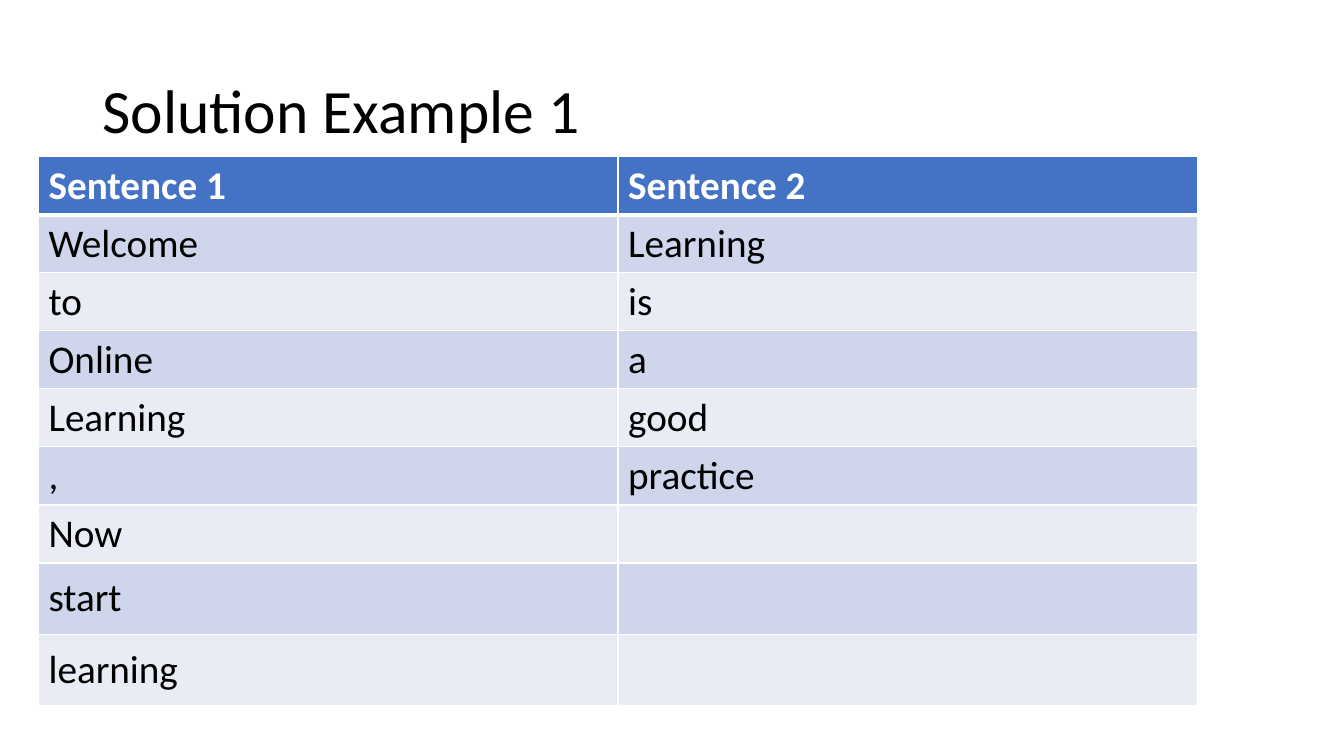
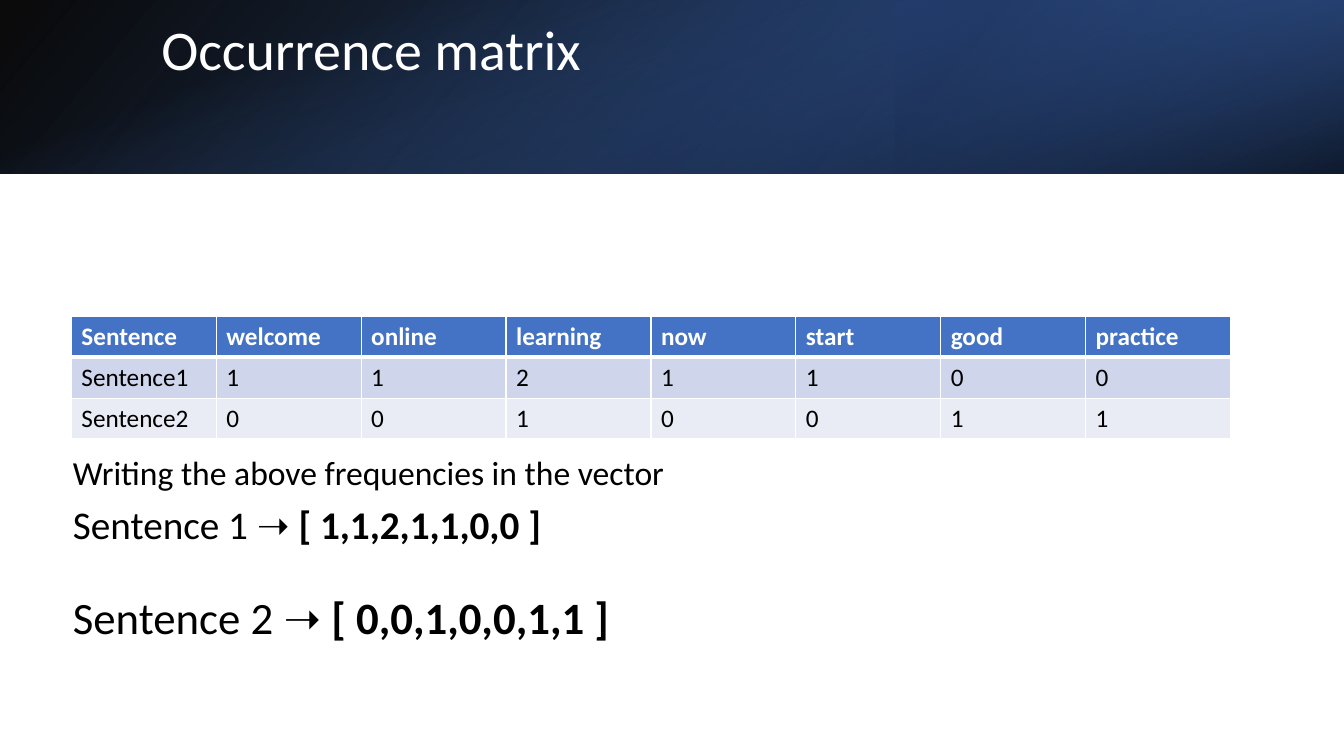
"""Build two slides on word counts: a token table and an occurrence matrix."""
from dataclasses import dataclass
from itertools import zip_longest

from lxml.etree import SubElement as Sub
from pptx import Presentation
from pptx.dml.color import RGBColor as RGB
from pptx.enum.shapes import MSO_SHAPE as Shape
from pptx.enum.text import MSO_ANCHOR as Anchor, MSO_AUTO_SIZE as Auto, PP_ALIGN as Align
from pptx.oxml.ns import qn
from pptx.util import Pt


@dataclass(frozen=True)
class Theme:
    font: str = "Calibri"
    black: str = "000000"
    white: str = "FFFFFF"
    blue: str = "4472C4"
    deep: str = "2F5597"
    navy: str = "203864"
    odd: str = "CFD5EA"
    even: str = "E9EBF5"
    title: int = 44
    head: int = 40
    large: int = 32
    mid: int = 28
    body: int = 24
    small: int = 18


THEME = Theme()
WIDE, HIGH = 960, 540
BAND = 124


def write(para, text, size=THEME.body, color=THEME.black, bold=False):
    run = para.add_run()
    run.text = text
    font = run.font
    font.name, font.size, font.bold = THEME.font, Pt(size), bold
    font.color.rgb = RGB.from_string(color)


class Deck:
    def __init__(self):
        self.prs = Presentation()
        self.prs.slide_width, self.prs.slide_height = Pt(WIDE), Pt(HIGH)
        self.slide = None

    def new(self):
        self.slide = self.prs.slides.add_slide(self.prs.slide_layouts[5])

    def title(self, text, box, size=THEME.title, color=THEME.black):
        shape = self.slide.shapes.title
        self.slide.shapes._spTree.append(shape._element)
        shape.left, shape.top, shape.width, shape.height = map(Pt, box)
        frame = shape.text_frame
        frame.auto_size, frame.vertical_anchor = Auto.NONE, Anchor.MIDDLE
        para = frame.paragraphs[0]
        para.alignment, para.line_spacing = Align.LEFT, 0.9
        write(para, text, size, color)

    def band(self, box, stops, angle, turn=0, flip=False):
        shape = self.slide.shapes.add_shape(Shape.RECTANGLE, *map(Pt, box))
        shape.shadow.inherit = False
        shape.line.fill.background()
        shape.rotation = turn
        props = shape._element.spPr
        if flip:
            props.find(qn("a:xfrm")).set("flipH", "1")
        shape.fill.gradient()
        grad = props.find(qn("a:gradFill"))
        for part in list(grad):
            grad.remove(part)
        steps = Sub(grad, qn("a:gsLst"))
        for pos, color, alpha in stops:
            stop = Sub(steps, qn("a:gs"), pos=str(pos * 1000))
            tone = Sub(stop, qn("a:srgbClr"), val=color)
            Sub(tone, qn("a:alpha"), val=str(alpha * 1000))
        Sub(grad, qn("a:lin"), ang=str(angle * 60000), scaled="0")

    def edge(self, cell, side, width):
        line = Sub(cell._tc.get_or_add_tcPr(), qn(f"a:ln{side}"), w=str(Pt(width)))
        fill = Sub(line, qn("a:solidFill"))
        Sub(fill, qn("a:srgbClr"), val=THEME.white)

    def table(self, rows, left, top, width, tall, size):
        cols = len(rows[0])
        grid = self.slide.shapes.add_table(
            len(rows), cols, Pt(left), Pt(top), Pt(width), Pt(sum(tall))).table
        for col in grid.columns:
            col.width = Pt(width / cols)
        for r, row in enumerate(rows):
            grid.rows[r].height = Pt(tall[r])
            head = r == 0
            fill = THEME.blue if head else THEME.odd if r % 2 else THEME.even
            for c, text in enumerate(row):
                cell = grid.cell(r, c)
                cell.vertical_anchor = Anchor.MIDDLE
                for side, thick in (("L", 1), ("R", 1), ("T", 3 if r == 1 else 1),
                                    ("B", 3 if head else 1)):
                    self.edge(cell, side, thick)
                cell.fill.solid()
                cell.fill.fore_color.rgb = RGB.from_string(fill)
                if text:
                    write(cell.text_frame.paragraphs[0], text, size,
                          THEME.white if head else THEME.black, head)

    def text(self, box, lines):
        frame = self.slide.shapes.add_textbox(*map(Pt, box)).text_frame
        frame.word_wrap = True
        for i, (size, plain, strong) in enumerate(lines):
            para = frame.add_paragraph() if i else frame.paragraphs[0]
            para.space_after = Pt(6)
            write(para, plain, size)
            if strong:
                write(para, strong, size, bold=True)


def tokens(deck):
    deck.new()
    deck.title("Solution Example 1", (66, 29, 828, 104))
    first = ["Sentence 1", "Welcome", "to", "Online", "Learning", ",", "Now", "start", "learning"]
    second = ["Sentence 2", "Learning", "is", "a", "good", "practice"]
    rows = list(zip_longest(first, second, fillvalue=""))
    deck.table(rows, 27.5, 112, 828, [41.4] * 7 + [51] * 2, THEME.mid)


def matrix(deck):
    deck.new()
    deck.band((0, 0, WIDE, BAND), [(0, THEME.black, 96), (100, THEME.deep, 100)],
              140, flip=True)
    deck.band((WIDE * 2 / 3, 0, WIDE / 3, BAND),
              [(19, THEME.navy, 68), (100, THEME.blue, 79)], 320, 180, True)
    deck.band(((WIDE - BAND) / 2, (BAND - WIDE) / 2, BAND, WIDE),
              [(23, THEME.blue, 0), (99, THEME.black, 74)], 340, 90)
    deck.title("Occurrence matrix", (108, 3, 790, 69), THEME.head, THEME.white)
    words = "Sentence welcome online learning now start good practice".split()
    counts = ["1121100", "0010011"]
    rows = [words] + [[f"Sentence{n}", *row] for n, row in enumerate(counts, 1)]
    deck.table(rows, 51, 226, 828, [29.2] * 3, THEME.small)
    one, two = (f"[ {','.join(row)} ]" for row in counts)
    deck.text((45, 319, 638, 76), [
        (THEME.body, "Writing the above frequencies in the vector", ""),
        (THEME.mid, "Sentence 1 ➝ ", one)])
    deck.text((45, 417.6, 449, 46), [(THEME.large, "Sentence 2 ➝", " " + two)])


def main():
    deck = Deck()
    tokens(deck)
    matrix(deck)
    deck.prs.save("out.pptx")


if __name__ == "__main__":
    main()
